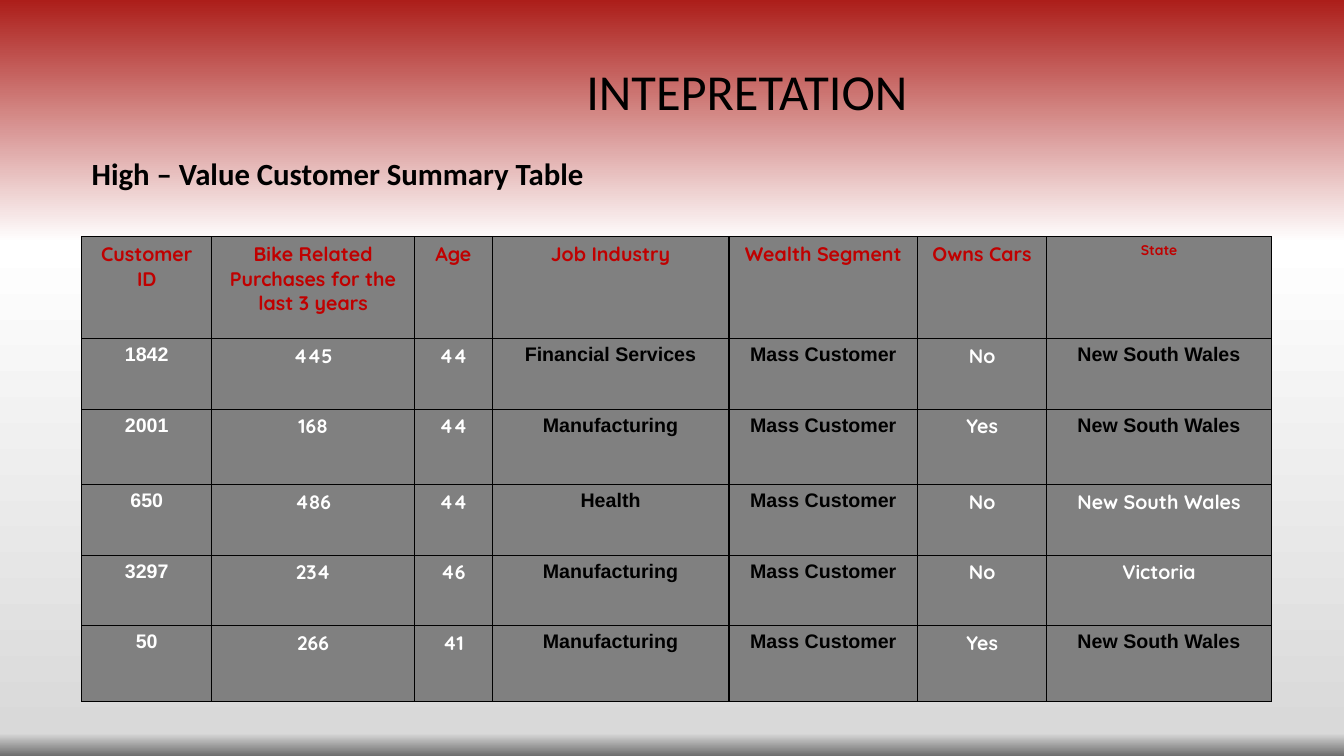
from dataclasses import dataclass

from lxml.etree import SubElement
from pptx import Presentation
from pptx.dml.color import RGBColor
from pptx.enum.text import MSO_ANCHOR, PP_ALIGN
from pptx.oxml import parse_xml
from pptx.oxml.ns import nsdecls, qn
from pptx.slide import Slide
from pptx.text.text import Font
from pptx.util import Inches, Length, Pt

SLIDE_WIDTH = Inches(13.33)
SLIDE_HEIGHT = Inches(7.5)


@dataclass(frozen=True)
class TextStyle:
    font: str
    size: int
    color: str
    bold: bool = True


@dataclass(frozen=True)
class Theme:
    title: TextStyle = TextStyle("Calibri", 36, "000000", False)
    subtitle: TextStyle = TextStyle("Calibri", 22, "000000")
    header: TextStyle = TextStyle("Quicksand", 14, "C00000")
    small_header: TextStyle = TextStyle("Quicksand", 10, "C00000")
    identifier: TextStyle = TextStyle("Arial", 14, "FFFFFF")
    figure: TextStyle = TextStyle("Quicksand", 14, "FFFFFF")
    category: TextStyle = TextStyle("Arial", 14, "000000")
    cell_fill: str = "808080"
    border: str = "000000"
    border_width: int = 1
    background: tuple[tuple[int, str], ...] = (
        (0, "AC1E1A"), (32, "FFFFFF"), (97, "D9D9D9"), (100, "6D6D6D"))


THEME = Theme()


@dataclass(frozen=True)
class Heading:
    text: str
    style: TextStyle
    left: float
    top: float
    width: float
    height: float
    alignment: PP_ALIGN
    anchor: MSO_ANCHOR
    space_before: int


@dataclass(frozen=True)
class Column:
    title: str
    width: float
    style: TextStyle
    header: TextStyle = THEME.header


HEADINGS = (
    Heading("INTEPRETATION", THEME.title, 27.53, 4.53, 56.11, 16,
            PP_ALIGN.CENTER, MSO_ANCHOR.MIDDLE, 0),
    Heading("High – Value Customer Summary Table", THEME.subtitle,
            6.08, 20.4, 51.76, 8.93, PP_ALIGN.LEFT, MSO_ANCHOR.TOP, 10),
)
COLUMNS = (
    Column("Customer ID", 9.68, THEME.identifier),
    Column("Bike Related Purchases for the last 3 years", 15.08, THEME.figure),
    Column("Age", 5.78, THEME.figure),
    Column("Job Industry", 17.63, THEME.category),
    Column("Wealth Segment", 14.03, THEME.category),
    Column("Owns Cars", 9.6, THEME.figure),
    Column("State", 16.73, THEME.category, THEME.small_header),
)
CUSTOMERS = (
    ("1842", "445", "44", "Financial Services", "Mass Customer", "No", "New South Wales"),
    ("2001", "168", "44", "Manufacturing", "Mass Customer", "Yes", "New South Wales"),
    ("650", "486", "44", "Health", "Mass Customer", "No", "New South Wales"),
    ("3297", "234", "46", "Manufacturing", "Mass Customer", "No", "Victoria"),
    ("50", "266", "41", "Manufacturing", "Mass Customer", "Yes", "New South Wales"),
)
WHITE_STATE_IDS = ("650", "3297")
ROW_HEIGHTS = (13.47, 9.33, 10, 9.33, 9.33, 10)
TABLE_LEFT = 6.08
TABLE_TOP = 31.33


def across(percent: float) -> Length:
    return Length(round(SLIDE_WIDTH * percent / 100))


def down(percent: float) -> Length:
    return Length(round(SLIDE_HEIGHT * percent / 100))


def apply_style(font: Font, style: TextStyle) -> None:
    font.name = style.font
    font.size = Pt(style.size)
    font.bold = style.bold
    font.color.rgb = RGBColor.from_string(style.color)


def paint_background(page: Slide) -> None:
    fill = page.background.fill
    fill.gradient()
    fill.gradient_angle = 270
    stops = next(page.element.iter(qn("a:gsLst")))
    for stop in list(stops):
        stops.remove(stop)
    for position, color in THEME.background:
        stop = SubElement(stops, qn("a:gs"), pos=str(position * 1000))
        SubElement(stop, qn("a:srgbClr"), val=color)


def add_heading(page: Slide, heading: Heading) -> None:
    box = page.shapes.add_textbox(across(heading.left), down(heading.top),
                                  across(heading.width), down(heading.height))
    frame = box.text_frame
    frame.word_wrap = True
    frame.vertical_anchor = heading.anchor
    para = frame.paragraphs[0]
    para.text = heading.text
    para.alignment = heading.alignment
    para.line_spacing = 0.9
    para.space_before = Pt(heading.space_before)
    apply_style(para.font, heading.style)


def cell_style(row: int, column: Column) -> TextStyle:
    if row == 0:
        return column.header
    if column.title == "State" and CUSTOMERS[row - 1][0] in WHITE_STATE_IDS:
        return THEME.figure
    return column.style


def add_customer_table(page: Slide) -> None:
    rows = (tuple(column.title for column in COLUMNS), *CUSTOMERS)
    holder = page.shapes.add_table(
        len(rows), len(COLUMNS), across(TABLE_LEFT), down(TABLE_TOP),
        across(sum(column.width for column in COLUMNS)), down(sum(ROW_HEIGHTS)))
    table = holder.table
    table.first_row = False
    table.horz_banding = False
    for table_column, column in zip(table.columns, COLUMNS):
        table_column.width = across(column.width)
    for row, (values, height) in enumerate(zip(rows, ROW_HEIGHTS)):
        table.rows[row].height = down(height)
        for index, (value, column) in enumerate(zip(values, COLUMNS)):
            cell = table.cell(row, index)
            cell.fill.solid()
            cell.fill.fore_color.rgb = RGBColor.from_string(THEME.cell_fill)
            para = cell.text_frame.paragraphs[0]
            para.text = value
            para.alignment = PP_ALIGN.CENTER
            apply_style(para.font, cell_style(row, column))
    for properties in holder.element.iter(qn("a:tcPr")):
        for position, side in enumerate(("lnL", "lnR", "lnT", "lnB")):
            properties.insert(position, parse_xml(
                f'<a:{side} {nsdecls("a")} w="{Pt(THEME.border_width)}"><a:solidFill>'
                f'<a:srgbClr val="{THEME.border}"/></a:solidFill></a:{side}>'))


def main() -> None:
    deck = Presentation()
    deck.slide_width = SLIDE_WIDTH
    deck.slide_height = SLIDE_HEIGHT
    page = deck.slides.add_slide(deck.slide_layouts[6])
    paint_background(page)
    for heading in HEADINGS:
        add_heading(page, heading)
    add_customer_table(page)
    deck.save("out.pptx")


if __name__ == "__main__":
    main()
